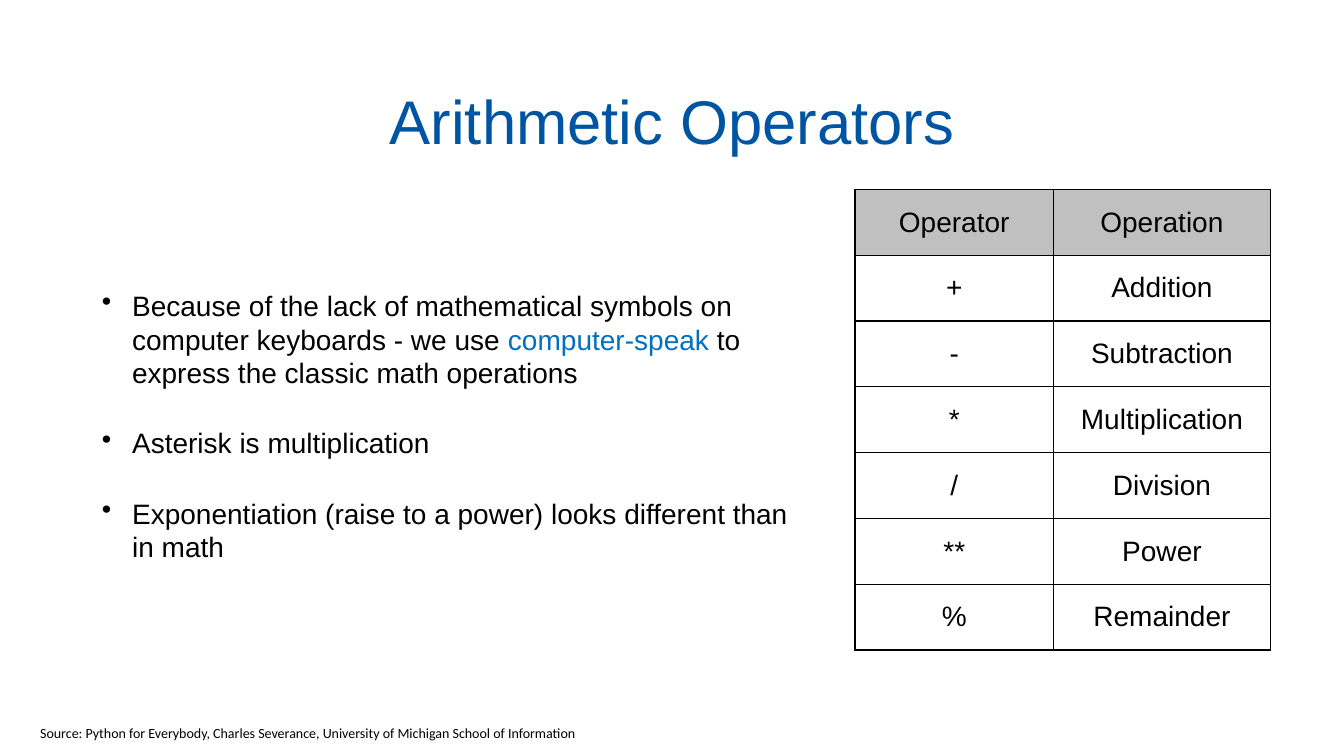
"""Build a slide that lists the arithmetic operators of Python."""
import pptx
import pptx.dml.color
import pptx.enum.text
import pptx.oxml
import pptx.oxml.ns
import pptx.util
from pptx.util import Inches

ALIGN = pptx.enum.text.PP_ALIGN
MIDDLE = pptx.enum.text.MSO_ANCHOR.MIDDLE
INSET = Inches(0.03)


def rgb(color):
    return pptx.dml.color.RGBColor.from_string(color)


def write(paragraph, text, size=20, font="Arial", color="000000", align=ALIGN.LEFT):
    paragraph.alignment = align
    run = paragraph.add_run()
    run.text = text
    run.font.size = pptx.util.Pt(size)
    run.font.name = font
    run.font.color.rgb = rgb(color)


presentation = pptx.Presentation()
presentation.slide_width = Inches(13.33)
presentation.slide_height = Inches(7.5)
slide = presentation.slides.add_slide(presentation.slide_layouts[6])

title = slide.shapes.add_textbox(Inches(0.67), Inches(0.63), Inches(12), Inches(1.12)).text_frame
points = slide.shapes.add_textbox(Inches(0.67), Inches(1.75), Inches(7.41), Inches(4.95)).text_frame
for frame in (title, points):
    frame.word_wrap = True
    frame.vertical_anchor = MIDDLE
    frame.margin_left = frame.margin_right = frame.margin_top = frame.margin_bottom = INSET

write(title.paragraphs[0], "Arithmetic Operators", size=44, color="0055A2", align=ALIGN.CENTER)

point_texts = [
    [("Because of the lack of mathematical symbols on computer keyboards - we use ", "000000"),
     ("computer-speak", "0070C0"),
     (" to express the classic math operations", "000000")],
    [("Asterisk is multiplication", "000000")],
    [("Exponentiation (raise to a power) looks different than in math", "000000")],
]
for index, parts in enumerate(point_texts):
    point = points.add_paragraph() if index else points.paragraphs[0]
    if index:
        point.space_before = pptx.util.Pt(26.2)
    for text, color in parts:
        write(point, text, color=color)
    properties = point._p.get_or_add_pPr()
    properties.set("marL", str(Inches(0.61)))
    properties.set("indent", str(Inches(-0.3)))
    bullet = pptx.oxml.parse_xml(f'<a:buChar {pptx.oxml.ns.nsdecls("a")} char="•"/>')
    properties.append(bullet)

operations = [
    ("Operator", "Operation"),
    ("+", "Addition"),
    ("-", "Subtraction"),
    ("*", "Multiplication"),
    ("/", "Division"),
    ("**", "Power"),
    ("%", "Remainder"),
]
operators = slide.shapes.add_table(
    len(operations), 2, Inches(8.48), Inches(1.88), Inches(4.12), Inches(4.57)).table
operators.columns[0].width = Inches(1.97)
operators.columns[1].width = Inches(2.15)
for row, names in enumerate(operations):
    for column, name in enumerate(names):
        cell = operators.cell(row, column)
        cell.vertical_anchor = MIDDLE
        cell.margin_left = cell.margin_right = cell.margin_top = cell.margin_bottom = INSET
        write(cell.text_frame.paragraphs[0], name, align=ALIGN.CENTER)
        borders = cell._tc.get_or_add_tcPr()
        for side in ("lnL", "lnR", "lnT", "lnB"):
            borders.append(pptx.oxml.parse_xml(
                f'<a:{side} {pptx.oxml.ns.nsdecls("a")} w="{pptx.util.Pt(1)}">'
                f'<a:solidFill><a:srgbClr val="000000"/></a:solidFill></a:{side}>'))
        cell.fill.solid()
        cell.fill.fore_color.rgb = rgb("FFFFFF" if row else "C0C0C0")

source = slide.shapes.add_textbox(Inches(0.3), Inches(7.14), Inches(5.6), Inches(0.27)).text_frame
source.word_wrap = False
write(source.paragraphs[0],
      "Source: Python for Everybody, Charles Severance, University of Michigan School of Information",
      size=10, font="Calibri")

presentation.save("out.pptx")
